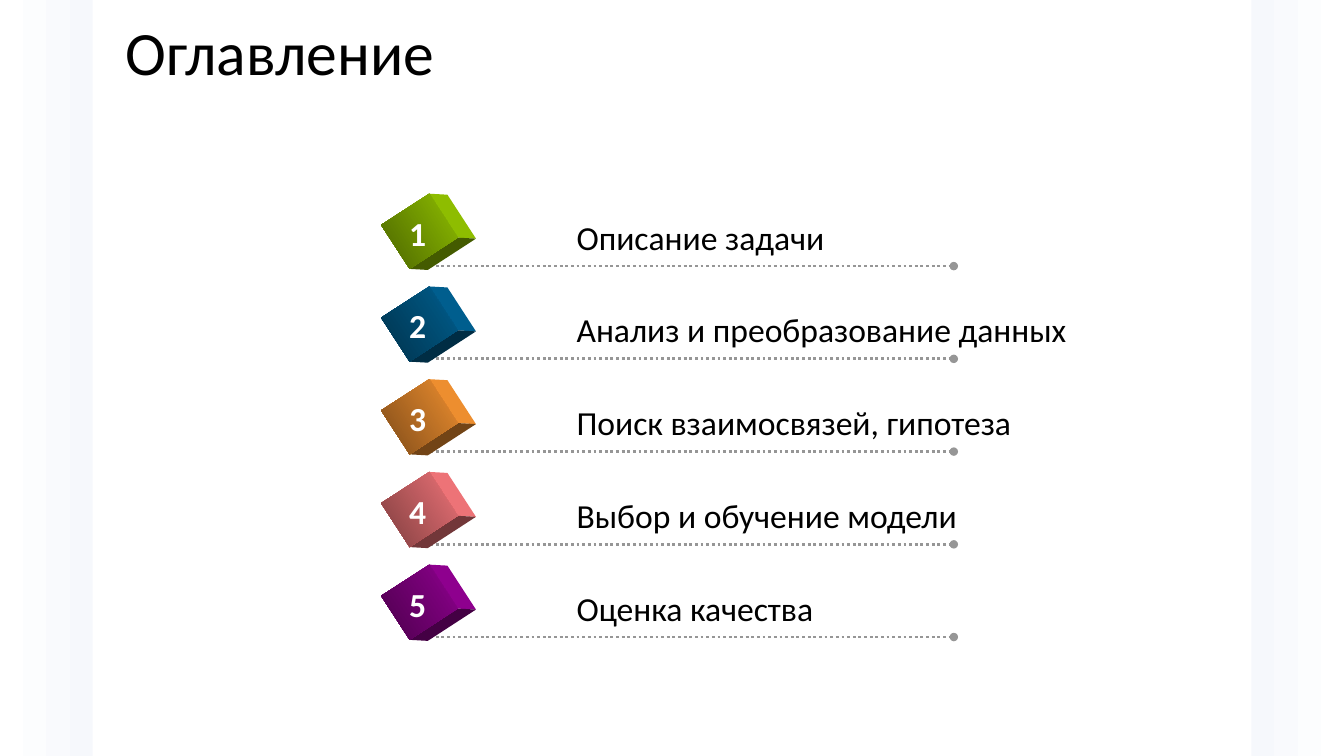
from math import cos, radians, sin

from lxml.etree import SubElement
from pptx import Presentation
from pptx.dml.color import RGBColor
from pptx.enum.dml import MSO_LINE
from pptx.enum.shapes import MSO_CONNECTOR, MSO_SHAPE
from pptx.enum.text import MSO_ANCHOR
from pptx.oxml.ns import qn
from pptx.util import Inches, Pt

BLACK = RGBColor(0x00, 0x00, 0x00)
WHITE = RGBColor(0xFF, 0xFF, 0xFF)
GREY = RGBColor(0x96, 0x96, 0x96)
PALE_BLUE = RGBColor(0xF6, 0xF8, 0xFC)
GREEN = RGBColor(0x99, 0xCC, 0x00)
BLUE = RGBColor(0x00, 0x66, 0x99)
ORANGE = RGBColor(0xFF, 0x99, 0x33)
PINK = RGBColor(0xFF, 0x7C, 0x80)
PURPLE = RGBColor(0x99, 0x00, 0x99)

FONT = "Calibri"
PAGE_WIDTH, PAGE_HEIGHT = 13.33, 7.5
BAND_WIDTH = 0.92
FIRST_RULE, ROW_PITCH = 2.64, 0.92
RULE_LEFT, RULE_RIGHT = 4.21, 9.46
CUBE_X, CUBE_RISE = 4.16, 0.345
CUBE_WIDTH, CUBE_HEIGHT, CUBE_TURN = 0.52, 0.57, 57
CUBE_DEPTH = (0.18, 0.01)
NUMBER_LEFT, TOPIC_LEFT = 3.96, 5.62

# Topic, width of its text box, cube colour
TOPICS = [
    ("Описание задачи", 2.68, GREEN),
    ("Анализ и преобразование данных", 5.11, BLUE),
    ("Поиск взаимосвязей, гипотеза", 4.63, ORANGE),
    ("Выбор и обучение модели", 4.01, PINK),
    ("Оценка качества", 2.57, PURPLE),
]


def shade(color, share):
    return RGBColor(*(int(channel * share) for channel in color))


def add_gradient_box(shapes, left, top, width, height, colors, angle, turn=0):
    box = shapes.add_shape(MSO_SHAPE.RECTANGLE, Inches(left), Inches(top),
                           Inches(width), Inches(height))
    box.rotation = turn
    box.shadow.inherit = False
    box.line.fill.background()
    box.fill.gradient()
    box.fill.gradient_angle = angle
    for stop, color in zip(box.fill.gradient_stops, colors):
        stop.color.rgb = color


def add_text(shapes, text, left, top, width, height, size=24, color=BLACK, bold=False):
    box = shapes.add_textbox(Inches(left), Inches(top), Inches(width), Inches(height))
    frame = box.text_frame
    frame.word_wrap = False
    frame.text = text
    font = frame.paragraphs[0].runs[0].font
    font.name, font.size, font.bold = FONT, Pt(size), bold
    font.color.rgb = color
    return frame


def add_dotted_rule(shapes, y):
    rule = shapes.add_connector(MSO_CONNECTOR.STRAIGHT, Inches(RULE_LEFT), Inches(y),
                                Inches(RULE_RIGHT), Inches(y))
    rule.line.color.rgb = GREY
    rule.line.width = Pt(2)
    rule.line.dash_style = MSO_LINE.ROUND_DOT
    SubElement(rule.line._get_or_add_ln(), qn("a:tailEnd"), type="oval")
    SubElement(rule._element.spPr, qn("a:effectLst"))


def add_face(shapes, points, color):
    corners = [(Inches(x), Inches(y)) for x, y in points]
    builder = shapes.build_freeform(*corners[0])
    builder.add_line_segments(corners[1:], close=True)
    face = builder.convert_to_shape()
    face.shadow.inherit = False
    face.line.fill.background()
    face.fill.solid()
    face.fill.fore_color.rgb = color


def add_cube(shapes, center_y, color):
    """Draw a turned square front with two side faces set back behind it."""
    turn = radians(CUBE_TURN)

    def corner(across, down):
        x, y = across * CUBE_WIDTH / 2, down * CUBE_HEIGHT / 2
        return (CUBE_X + x * cos(turn) - y * sin(turn),
                center_y + x * sin(turn) + y * cos(turn))

    def set_back(point):
        return point[0] + CUBE_DEPTH[0], point[1] + CUBE_DEPTH[1]

    top, right, bottom = corner(-1, -1), corner(1, -1), corner(1, 1)
    add_face(shapes, [top, set_back(top), set_back(right), right], shade(color, 0.93))
    add_face(shapes, [right, set_back(right), set_back(bottom), bottom], shade(color, 0.45))
    add_gradient_box(shapes, CUBE_X - CUBE_WIDTH / 2, center_y - CUBE_HEIGHT / 2,
                     CUBE_WIDTH, CUBE_HEIGHT, (shade(color, 0.93), shade(color, 0.5)),
                     270, CUBE_TURN)


def add_topic(page, number, topic, width, color):
    shapes = page.shapes.add_group_shape().shapes
    rule_y = FIRST_RULE + (number - 1) * ROW_PITCH
    add_dotted_rule(shapes, rule_y)
    add_cube(shapes, rule_y - CUBE_RISE, color)
    add_text(shapes, topic, TOPIC_LEFT, rule_y - 0.54, width, 0.51)
    add_text(shapes, str(number), NUMBER_LEFT, rule_y - 0.58, 0.39, 0.5,
             color=WHITE, bold=True)


def main():
    deck = Presentation()
    deck.slide_width, deck.slide_height = Inches(PAGE_WIDTH), Inches(PAGE_HEIGHT)
    page = deck.slides.add_slide(deck.slide_layouts[6])
    for left, turn in ((0, 0), (PAGE_WIDTH - BAND_WIDTH, 180)):
        add_gradient_box(page.shapes, left, 0, BAND_WIDTH, PAGE_HEIGHT,
                         (PALE_BLUE, WHITE), 180, turn)
    title = add_text(page.shapes, "Оглавление", 1.15, 0.13, 11.26, 0.84, size=44)
    title.word_wrap = True
    title.vertical_anchor = MSO_ANCHOR.MIDDLE
    title.paragraphs[0].line_spacing = 0.9
    for number, (topic, width, color) in enumerate(TOPICS, start=1):
        add_topic(page, number, topic, width, color)
    deck.save("out.pptx")


if __name__ == "__main__":
    main()
